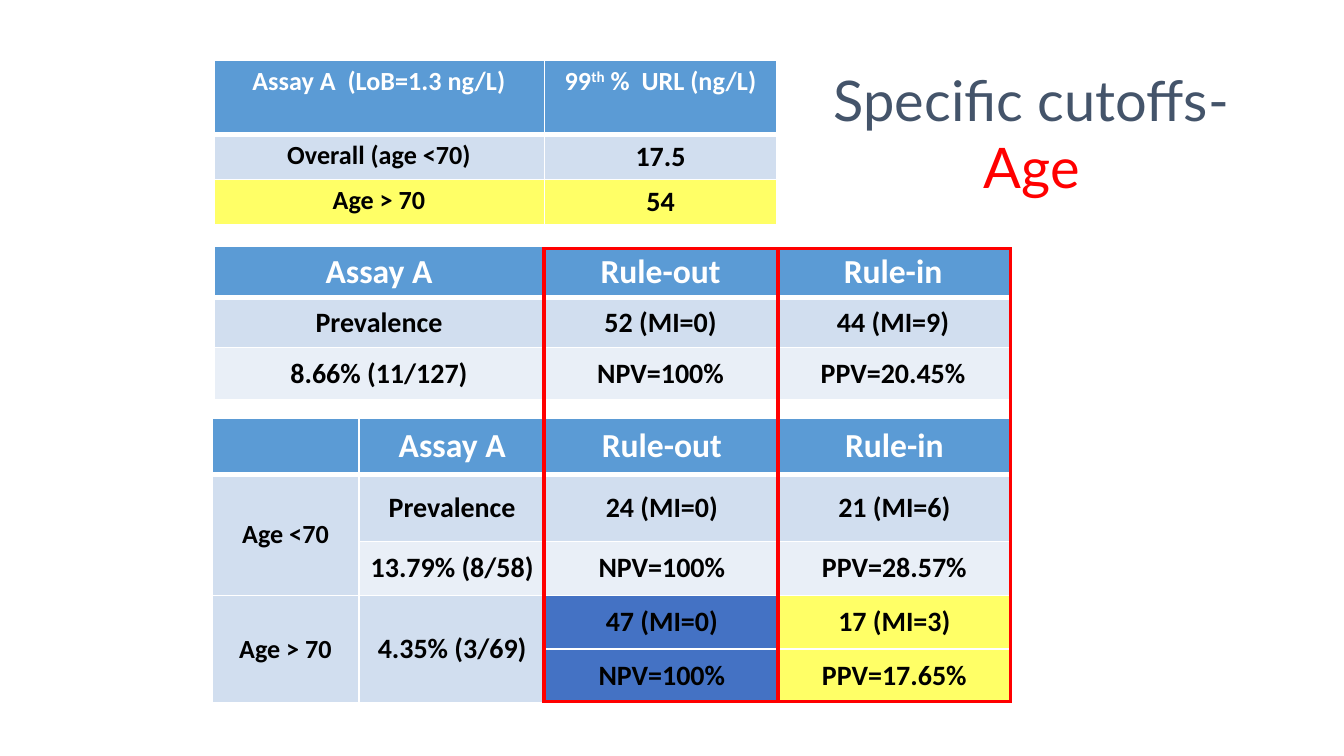
from dataclasses import dataclass, field

from lxml import etree
from pptx import Presentation
from pptx.dml.color import RGBColor
from pptx.enum.shapes import MSO_SHAPE
from pptx.enum.text import MSO_ANCHOR, MSO_AUTO_SIZE, PP_ALIGN
from pptx.oxml.ns import qn
from pptx.util import Inches, Pt

CENTER = PP_ALIGN.CENTER
TOP, MIDDLE = MSO_ANCHOR.TOP, MSO_ANCHOR.MIDDLE
RECTANGLE = MSO_SHAPE.RECTANGLE
TITLE_ONLY = 5

WHITE, BLACK, RED = "FFFFFF", "000000", "FF0000"
HEADER, BAND, LIGHT = "5B9BD5", "D1DEEF", "E9EFF7"
YELLOW, BLUE, SLATE = "FFFF66", "4472C4", "44546A"


@dataclass
class Cell:
    text: str
    fill: str = BAND
    size: int = 15
    color: str = BLACK
    superscript: str = ""
    tail: str = ""


@dataclass
class TableSpec:
    left: float
    top: float
    columns: list[float]
    rows: list[float]
    cells: list[list[Cell]]
    anchor: MSO_ANCHOR = MIDDLE
    # Each merge is (first row, first column, last row, last column)
    merges: list[tuple[int, int, int, int]] = field(default_factory=list)


def rgb(color: str) -> RGBColor:
    return RGBColor.from_string(color)


def header(text: str, size: int = 18, superscript: str = "", tail: str = "") -> Cell:
    return Cell(text, HEADER, size, WHITE, superscript, tail)


def add_borders(cell, row: int) -> None:
    """White rules all round, thicker between the header and the body."""
    widths = {"a:lnL": 1, "a:lnR": 1,
              "a:lnT": 3 if row == 1 else 1, "a:lnB": 3 if row == 0 else 1}
    properties = cell._tc.get_or_add_tcPr()
    for tag, width in widths.items():
        line = etree.SubElement(properties, qn(tag), w=str(Pt(width)))
        solid = etree.SubElement(line, qn("a:solidFill"))
        etree.SubElement(solid, qn("a:srgbClr"), val=WHITE)


def fill_cell(cell, content: Cell, row: int, anchor: MSO_ANCHOR) -> None:
    add_borders(cell, row)
    cell.fill.solid()
    cell.fill.fore_color.rgb = rgb(content.fill)
    cell.vertical_anchor = anchor
    cell.margin_left = cell.margin_right = Inches(0.07)
    cell.margin_top = cell.margin_bottom = Inches(0.04)
    paragraph = cell.text_frame.paragraphs[0]
    paragraph.alignment = CENTER
    paragraph.font.name = "Calibri"
    paragraph.font.size = Pt(content.size)
    paragraph.font.bold = True
    paragraph.font.color.rgb = rgb(content.color)
    if content.text:
        paragraph.add_run().text = content.text
    if content.superscript:
        raised = paragraph.add_run()
        raised.text = content.superscript
        raised._r.get_or_add_rPr().set("baseline", "30000")
        paragraph.add_run().text = content.tail


def add_table(slide, spec: TableSpec) -> None:
    table = slide.shapes.add_table(
        len(spec.rows), len(spec.columns), Inches(spec.left), Inches(spec.top),
        Inches(sum(spec.columns)), Inches(sum(spec.rows))).table
    table.horz_banding = False
    for column, width in zip(table.columns, spec.columns):
        column.width = Inches(width)
    for row, height in zip(table.rows, spec.rows):
        row.height = Inches(height)
    for row, contents in enumerate(spec.cells):
        for column, content in enumerate(contents):
            fill_cell(table.cell(row, column), content, row, spec.anchor)
    for top, left, bottom, right in spec.merges:
        table.cell(top, left).merge(table.cell(bottom, right))


def add_frame(slide, left: float, top: float, width: float, height: float) -> None:
    frame = slide.shapes.add_shape(
        RECTANGLE, Inches(left), Inches(top), Inches(width), Inches(height))
    frame.shadow.inherit = False
    frame.fill.background()
    frame.line.color.rgb = rgb(RED)
    frame.line.width = Pt(2)
    # Square corners
    outline = frame.line._get_or_add_ln()
    etree.SubElement(outline, qn("a:miter"), lim="800000")


def add_title(slide) -> None:
    title = slide.shapes.title
    title.left, title.top = Inches(6.02), Inches(0.44)
    title.width, title.height = Inches(3.31), Inches(1.09)
    text_frame = title.text_frame
    text_frame.word_wrap = True
    text_frame.auto_size = MSO_AUTO_SIZE.NONE
    text_frame.vertical_anchor = MIDDLE
    paragraph = text_frame.paragraphs[0]
    paragraph.alignment = CENTER
    paragraph.font.name = "Lato"
    paragraph.font.size = Pt(30)
    for text, color in (("Specific cutoffs-", SLATE), ("Age", RED)):
        run = paragraph.add_run()
        run.text = text
        run.font.color.rgb = rgb(color)


RULES = [header("Rule-out"), header("Rule-in")]
EMPTY = Cell("")

AGE_GROUPS = TableSpec(
    1.58, 3.11, [1.09, 1.39, 1.73, 1.73], [0.42, 0.5, 0.4, 0.4, 0.4],
    [[header(""), header("Assay A"), *RULES],
     [Cell("Age <70", size=14), Cell("Prevalence"), Cell("24 (MI=0)"), Cell("21 (MI=6)")],
     [EMPTY, Cell("13.79% (8/58)", LIGHT), Cell("NPV=100%", LIGHT),
      Cell("PPV=28.57%", LIGHT)],
     [Cell("Age > 70", size=14), Cell("4.35% (3/69)"), Cell("47 (MI=0)", BLUE),
      Cell("17 (MI=3)", YELLOW)],
     [EMPTY, EMPTY, Cell("NPV=100%", BLUE), Cell("PPV=17.65%", YELLOW)]],
    merges=[(1, 0, 2, 0), (3, 0, 4, 0), (3, 1, 4, 1)])

REFERENCE_LIMITS = TableSpec(
    1.59, 0.45, [2.46, 1.73], [0.55, 0.33, 0.33],
    [[header("Assay A  (LoB=1.3 ng/L)", 14), header("99", 14, "th", " %  URL (ng/L)")],
     [Cell("Overall (age <70)", size=14), Cell("17.5")],
     [Cell("Age > 70", YELLOW, 14), Cell("54", YELLOW)]],
    anchor=TOP)

ALL_AGES = TableSpec(
    1.59, 1.83, [2.46, 1.73, 1.73], [0.38, 0.37, 0.39],
    [[header("Assay A"), *RULES],
     [Cell("Prevalence"), Cell("52 (MI=0)"), Cell("44 (MI=9)")],
     [Cell("8.66% (11/127)", LIGHT), Cell("NPV=100%", LIGHT), Cell("PPV=20.45%", LIGHT)]])


def main() -> None:
    presentation = Presentation()
    # Widescreen, 16:9
    presentation.slide_width = Inches(10)
    presentation.slide_height = Inches(10 * 9 / 16)
    slide = presentation.slides.add_slide(presentation.slide_layouts[TITLE_ONLY])

    # Result tables
    for spec in (AGE_GROUPS, REFERENCE_LIMITS, ALL_AGES):
        add_table(slide, spec)

    # Red frames around the rule-out and rule-in columns
    for left, width in ((4.05, 1.74), (5.79, 1.73)):
        add_frame(slide, left, 1.85, width, 3.37)

    add_title(slide)
    presentation.save("out.pptx")


if __name__ == "__main__":
    main()
